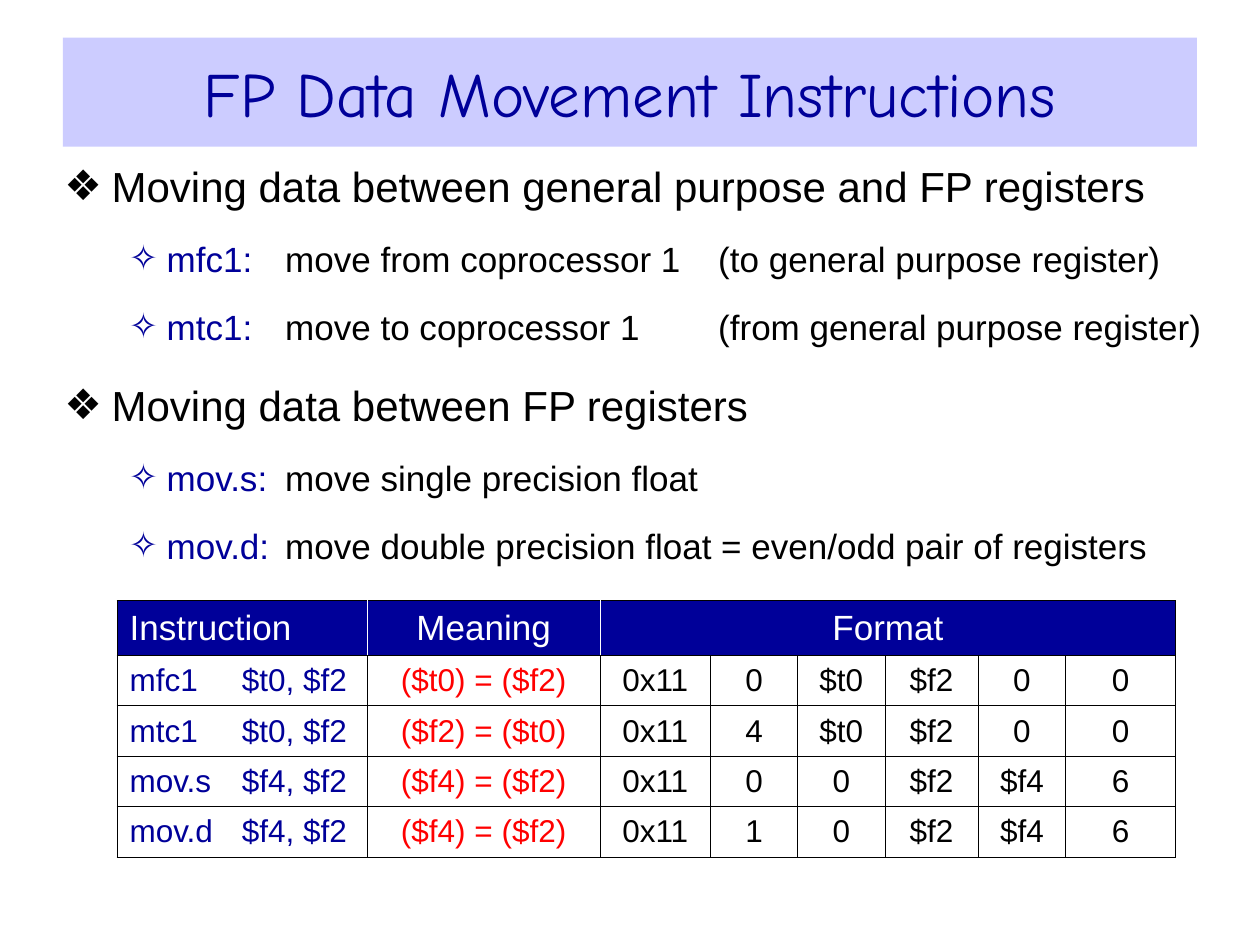
"""Build the slide on floating-point data movement instructions."""
from lxml import etree
from pptx import Presentation
from pptx import util as u
from pptx.dml.color import RGBColor
from pptx.enum import shapes, text
from pptx.oxml.ns import qn

NAVY = RGBColor(0x00, 0x00, 0x99)
LAVENDER = RGBColor(0xCC, 0xCC, 0xFF)
RED = RGBColor(0xFF, 0x00, 0x00)
BLACK = RGBColor(0x00, 0x00, 0x00)
WHITE = RGBColor(0xFF, 0xFF, 0xFF)
CENTER = text.PP_ALIGN.CENTER


def add_run(p, content, size=18, color=BLACK, font="Arial", align=None, tabs=()):
    if align is not None:
        p.alignment = align
    if tabs:
        tab_list = etree.SubElement(p._p.get_or_add_pPr(), qn("a:tabLst"))
        for pos in tabs:
            etree.SubElement(tab_list, qn("a:tab"), pos=str(u.Cm(pos)), algn="l")
    r = p.add_run()
    r.text = content
    r.font.size = u.Pt(size)
    r.font.name = font
    r.font.color.rgb = color


def add_border(cell, side, color):
    ln = etree.SubElement(cell._tc.get_or_add_tcPr(), qn(f"a:ln{side}"), w=str(u.Pt(0.45)))
    fill = etree.SubElement(ln, qn("a:solidFill"))
    etree.SubElement(fill, qn("a:srgbClr"), val=str(color))


prs = Presentation()
prs.slide_width, prs.slide_height = u.Cm(25.4), u.Cm(19.05)
s = prs.slides.add_slide(prs.slide_layouts[6])

body = s.shapes.add_textbox(u.Cm(1.3), u.Cm(3.12), u.Cm(23.1), u.Cm(8.5))
tf = body.text_frame
tf.word_wrap = True
tf.margin_left = tf.margin_right = 0
bullets = [
    ("", "Moving data between general purpose and FP registers"),
    ("mfc1:\t", "move from coprocessor 1\t(to general purpose register)"),
    ("mtc1:\t", "move to coprocessor 1\t(from general purpose register)"),
    ("", "Moving data between FP registers"),
    ("mov.s:\t", "move single precision float"),
    ("mov.d:\t", "move double precision float = even/odd pair of registers"),
]
for i, (name, description) in enumerate(bullets):
    p = tf.add_paragraph() if i else tf.paragraphs[0]
    if name:
        p.level = 1
        margin, hang, space, mark, color, size = 2.06, 0.76, 15, "✧", NAVY, 20
    else:
        margin, hang, space, mark, color, size = 0.95, 0.95, 18, "❖", BLACK, 24
    pPr = p._p.get_or_add_pPr()
    pPr.set("marL", str(u.Cm(margin)))
    pPr.set("indent", str(-u.Cm(hang)))
    if i:
        p.space_before = u.Pt(space)
    bu_color = etree.SubElement(pPr, qn("a:buClr"))
    etree.SubElement(bu_color, qn("a:srgbClr"), val=str(color))
    etree.SubElement(pPr, qn("a:buFont"), typeface="Arial")
    etree.SubElement(pPr, qn("a:buChar"), char=mark)
    if name:
        add_run(p, name, size=size, color=NAVY, tabs=(4.45, 13.18))
    add_run(p, description, size=size)

sp = s.shapes.add_shape(shapes.MSO_SHAPE.RECTANGLE, u.Cm(1.27), u.Cm(0.76), u.Cm(22.86), u.Cm(2.2))
sp.shadow.inherit = False
sp.fill.solid()
sp.fill.fore_color.rgb = LAVENDER
sp.line.fill.background()
sp.text_frame.vertical_anchor = text.MSO_ANCHOR.MIDDLE
add_run(sp.text_frame.paragraphs[0], "FP Data Movement Instructions",
        size=36, color=NAVY, font="Comic Neue", align=CENTER)

rows = [
    ["Instruction", "Meaning", "Format", "", "", "", "", ""],
    ["mfc1\t$t0, $f2", "($t0) = ($f2)", "0x11", "0", "$t0", "$f2", "0", "0"],
    ["mtc1\t$t0, $f2", "($f2) = ($t0)", "0x11", "4", "$t0", "$f2", "0", "0"],
    ["mov.s\t$f4, $f2", "($f4) = ($f2)", "0x11", "0", "0", "$f2", "$f4", "6"],
    ["mov.d\t$f4, $f2", "($f4) = ($f2)", "0x11", "1", "0", "$f2", "$f4", "6"],
]
widths = [5.04, 4.7, 2.22, 1.76, 1.76, 1.88, 1.76, 2.22]
heights = [1.05] + [0.97] * 4
table = s.shapes.add_table(len(rows), len(widths), u.Cm(2.36), u.Cm(12.11),
                           u.Cm(sum(widths)), u.Cm(sum(heights))).table
table.first_row = table.horz_banding = False
for column, width in zip(table.columns, widths):
    column.width = u.Cm(width)
for row, height in zip(table.rows, heights):
    row.height = u.Cm(height)
table.cell(0, 2).merge(table.cell(0, 7))

for i, row in enumerate(rows):
    for j, content in enumerate(row):
        cell = table.cell(i, j)
        header = i == 0
        add_border(cell, "L", WHITE if header and j in (1, 2) else BLACK)
        add_border(cell, "R", WHITE if header and j in (0, 1) else BLACK)
        add_border(cell, "T", BLACK)
        add_border(cell, "B", BLACK)
        if header:
            cell.fill.solid()
            cell.fill.fore_color.rgb = NAVY
        else:
            cell.fill.background()
        cell.vertical_anchor = text.MSO_ANCHOR.MIDDLE
        if content:
            add_run(cell.text_frame.paragraphs[0], content,
                    size=20 if header else 18,
                    color=WHITE if header else (NAVY, RED, BLACK)[min(j, 2)],
                    align=CENTER if j else None,
                    tabs=(2.26,) if "\t" in content else ())

prs.save("out.pptx")
